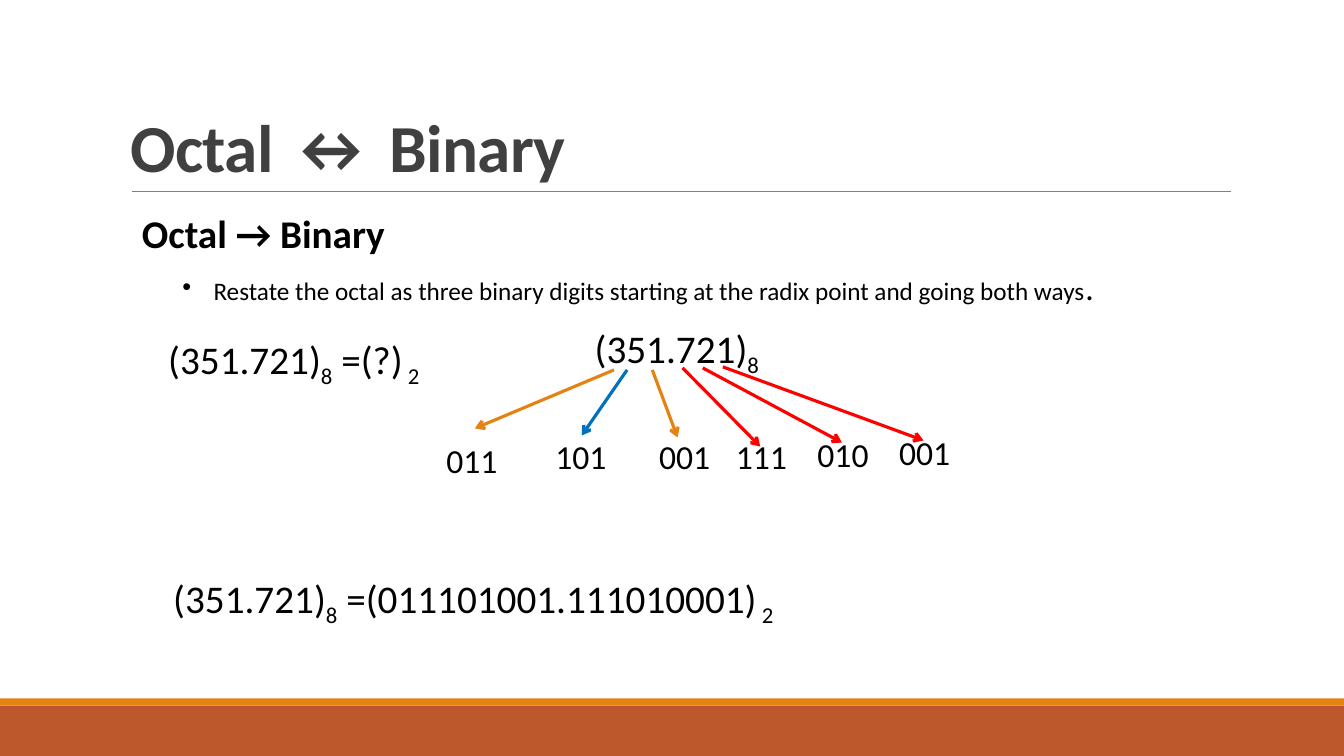
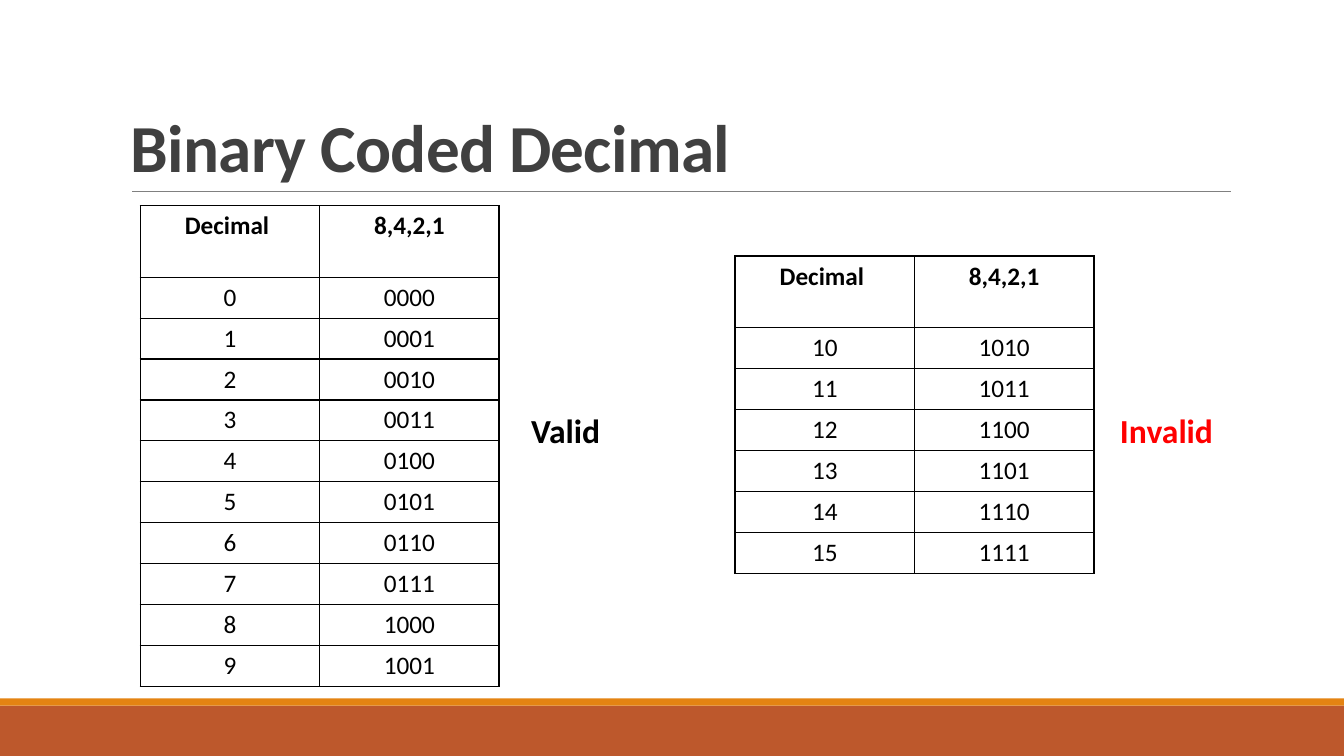
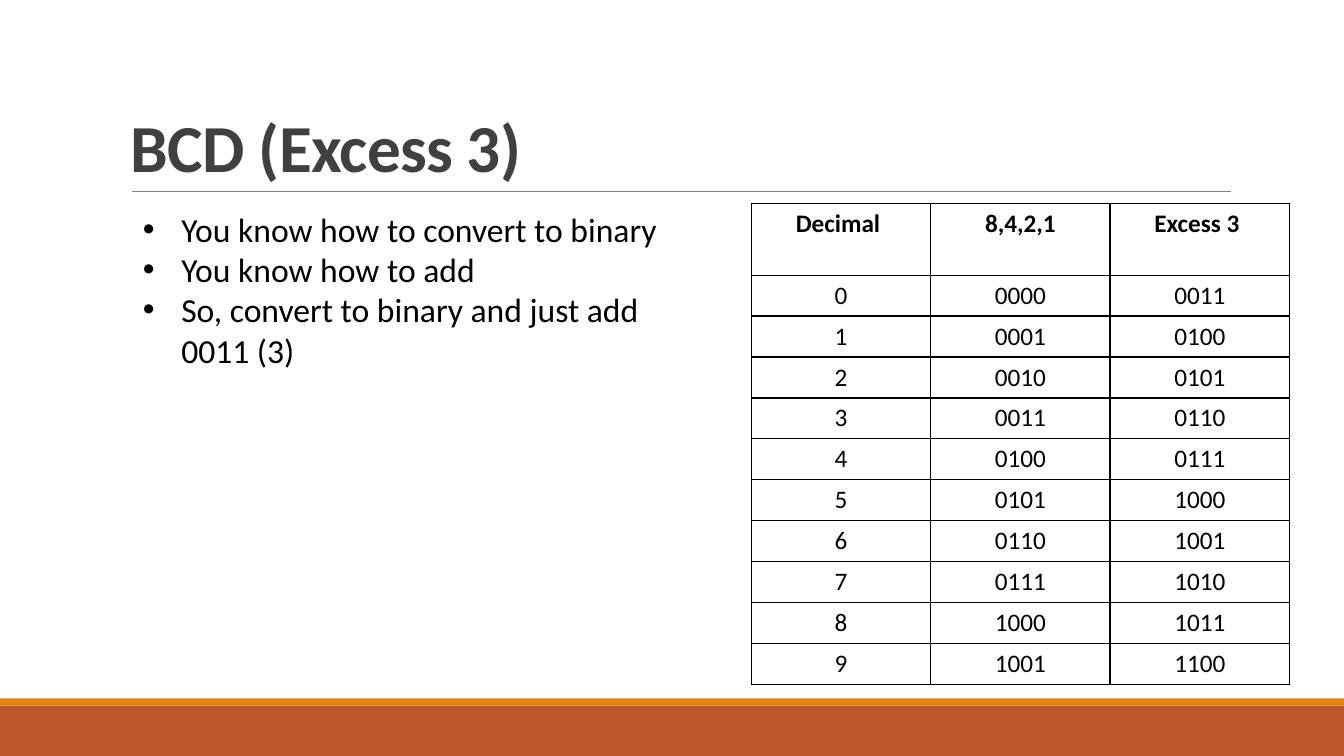
import dataclasses

import lxml.etree
import pptx
import pptx.dml.color
import pptx.enum.shapes
import pptx.enum.text
import pptx.oxml.ns
import pptx.util

EMU_PER_PX = 9144  # 100 px to the inch
SLIDE_WIDTH, SLIDE_HEIGHT = 1333, 750

FONT = "Calibri"
BLACK = "000000"
RED = "FF0000"
BLUE = "0070C0"
ORANGE = "E48312"
RUST = "BD582C"
RULE_GREY = "808080"
TITLE_GREY = "404040"

COLUMN_WIDTH = 178
HEADER_HEIGHT = 71


@dataclasses.dataclass
class Span:
    """A stretch of text that differs from the rest of its paragraph."""
    text: str
    size: int = None
    subscript: bool = False


def px(length):
    return pptx.util.Emu(round(length * EMU_PER_PX))


def color(hex_string):
    return pptx.dml.color.RGBColor.from_string(hex_string)


def add_xml(parent, tag, **attributes):
    return lxml.etree.SubElement(parent, pptx.oxml.ns.qn(tag), **attributes)


def style_font(font, size, bold=False, hex_color=BLACK):
    font.name = FONT
    font.size = pptx.util.Pt(size)
    font.bold = bold
    font.color.rgb = color(hex_color)


def add_bullet(para, indent):
    properties = para._p.get_or_add_pPr()
    properties.set("marL", str(px(indent)))
    properties.set("indent", str(-px(indent)))
    add_xml(properties, "a:buFont", typeface="Arial")
    add_xml(properties, "a:buChar", char="•")


def add_text(slide, left, top, width, height, paragraphs, size,
             bold=False, hex_color=BLACK, bullet_indent=None):
    """Add a text box; each paragraph is a string or a list of Spans."""
    box = slide.shapes.add_textbox(px(left), px(top), px(width), px(height))
    frame = box.text_frame
    frame.word_wrap = True
    frame.auto_size = pptx.enum.text.MSO_AUTO_SIZE.SHAPE_TO_FIT_TEXT
    for index, content in enumerate(paragraphs):
        para = frame.add_paragraph() if index else frame.paragraphs[0]
        if bullet_indent:
            add_bullet(para, bullet_indent)
        spans = [Span(content)] if isinstance(content, str) else content
        for span in spans:
            run = para.add_run()
            run.text = span.text
            style_font(run.font, span.size or size, bold, hex_color)
            if span.subscript:
                run._r.get_or_add_rPr().set("baseline", "-25000")
    return box


def add_line(slide, start, end, hex_color, width, arrow=False):
    line = slide.shapes.add_connector(
        pptx.enum.shapes.MSO_CONNECTOR.STRAIGHT, *map(px, start + end))
    line.line.color.rgb = color(hex_color)
    line.line.width = pptx.util.Pt(width)
    if arrow:
        add_xml(line.line._get_or_add_ln(), "a:tailEnd", type="arrow")
    add_xml(line._element.spPr, "a:effectLst")


def add_band(slide, top, height, hex_color):
    band = slide.shapes.add_shape(
        pptx.enum.shapes.MSO_SHAPE.RECTANGLE,
        0, px(top), px(SLIDE_WIDTH), px(height))
    band.shadow.inherit = False
    band.fill.solid()
    band.fill.fore_color.rgb = color(hex_color)
    band.line.fill.background()


def add_title(slide, title):
    box = add_text(slide, 120, 31, 1100, 159, [title], 48, True, TITLE_GREY)
    frame = box.text_frame
    frame.auto_size = pptx.enum.text.MSO_AUTO_SIZE.NONE
    frame.vertical_anchor = pptx.enum.text.MSO_ANCHOR.BOTTOM
    para = frame.paragraphs[0]
    para.line_spacing = 0.85
    para.runs[0]._r.get_or_add_rPr().set("spc", "-50")


def add_slide(deck, title):
    """Add a slide with the shared bands, title and rule."""
    slide = deck.slides.add_slide(deck.slide_layouts[6])
    add_band(slide, 700, 50, RUST)
    add_band(slide, 693, 7, ORANGE)
    add_line(slide, (131, 190), (1221, 190), RULE_GREY, 0.5)
    add_title(slide, title)
    return slide


def style_cell(cell, text, bold):
    cell.text = text
    para = cell.text_frame.paragraphs[0]
    para.alignment = pptx.enum.text.PP_ALIGN.CENTER
    style_font(para.runs[0].font, 18, bold)
    properties = cell._tc.get_or_add_tcPr()
    for side in ("a:lnL", "a:lnR", "a:lnT", "a:lnB"):
        border = add_xml(properties, side, w=str(pptx.util.Pt(1)))
        add_xml(add_xml(border, "a:solidFill"), "a:srgbClr", val=BLACK)
    cell.fill.background()


def add_code_table(slide, left, top, height, header, rows):
    """Add a bordered table whose body rows share the height below the header."""
    table = slide.shapes.add_table(
        len(rows) + 1, len(header), px(left), px(top),
        px(COLUMN_WIDTH * len(header)), px(height)).table
    table.first_row = False
    table.horz_banding = False
    for column in table.columns:
        column.width = px(COLUMN_WIDTH)
    body_height = (height - HEADER_HEIGHT) / len(rows)
    for row_index, texts in enumerate([header] + rows):
        is_header = row_index == 0
        table.rows[row_index].height = px(HEADER_HEIGHT if is_header else body_height)
        for column_index, text in enumerate(texts):
            style_cell(table.cell(row_index, column_index), text, is_header)


def four_bits(number):
    return format(number, "04b")


def bcd_rows(numbers):
    return [[str(number), four_bits(number)] for number in numbers]


def octal_number():
    return [Span("(351.721)"), Span("8", subscript=True)]


def octal_equation(binary):
    return octal_number() + [Span(f" =({binary})"), Span(" 2", subscript=True)]


def build_octal_slide(deck):
    slide = add_slide(deck, "Octal ↔ Binary")
    add_text(slide, 131, 203, 280, 57, ["Octal → Binary"], 28, bold=True)
    rule = [Span("Restate the octal as three binary digits starting at "
                 "the radix point and going both ways"), Span(".", size=24)]
    add_text(slide, 171, 260, 1150, 50, [rule], 18, bullet_indent=31)
    add_text(slide, 157, 328, 318, 57, [octal_equation("?")], 28)
    add_text(slide, 580, 317, 191, 57, [octal_number()], 28)
    add_text(slide, 162, 565, 657, 57, [octal_equation("011101001.111010001")], 28)

    # octal digit, left and top of its bits, arrow start, arrow end, arrow colour
    digits = [
        (3, 433, 432, (609, 367), (471, 425), ORANGE),
        (5, 541, 428, (622, 367), (577, 432), BLUE),
        (1, 644, 428, (647, 367), (672, 434), ORANGE),
        (7, 720, 428, (677, 365), (754, 443), RED),
        (2, 801, 426, (697, 365), (835, 439), RED),
        (1, 882, 424, (717, 364), (916, 437), RED),
    ]
    for digit, left, top, start, end, hex_color in digits:
        add_text(slide, left, top, 76, 50, [format(digit, "03b")], 24)
        add_line(slide, start, end, hex_color, 2.25, arrow=True)


def build_bcd_slide(deck):
    slide = add_slide(deck, "Binary Coded Decimal")
    header = ["Decimal ", "8,4,2,1"]
    add_code_table(slide, 139, 204, 477, header, bcd_rows(range(10)))
    add_text(slide, 517, 402, 107, 50, ["Valid"], 24, bold=True)
    add_code_table(slide, 729, 254, 315, header, bcd_rows(range(10, 16)))
    add_text(slide, 1101, 402, 128, 50, ["Invalid"], 24, bold=True, hex_color=RED)


def build_excess_slide(deck):
    slide = add_slide(deck, "BCD (Excess 3)")
    rows = [row + [four_bits(number + 3)]
            for number, row in enumerate(bcd_rows(range(10)))]
    add_code_table(slide, 745, 202, 477, ["Decimal ", "8,4,2,1", "Excess 3 "], rows)
    steps = [
        "You know how to convert to binary",
        "You know how to add",
        "So, convert to binary and just add 0011 (3)",
    ]
    add_text(slide, 132, 202, 533, 172, steps, 24, bullet_indent=38)


def main():
    deck = pptx.Presentation()
    deck.slide_width = px(SLIDE_WIDTH)
    deck.slide_height = px(SLIDE_HEIGHT)
    build_octal_slide(deck)
    build_bcd_slide(deck)
    build_excess_slide(deck)
    deck.save("out.pptx")


if __name__ == "__main__":
    main()
